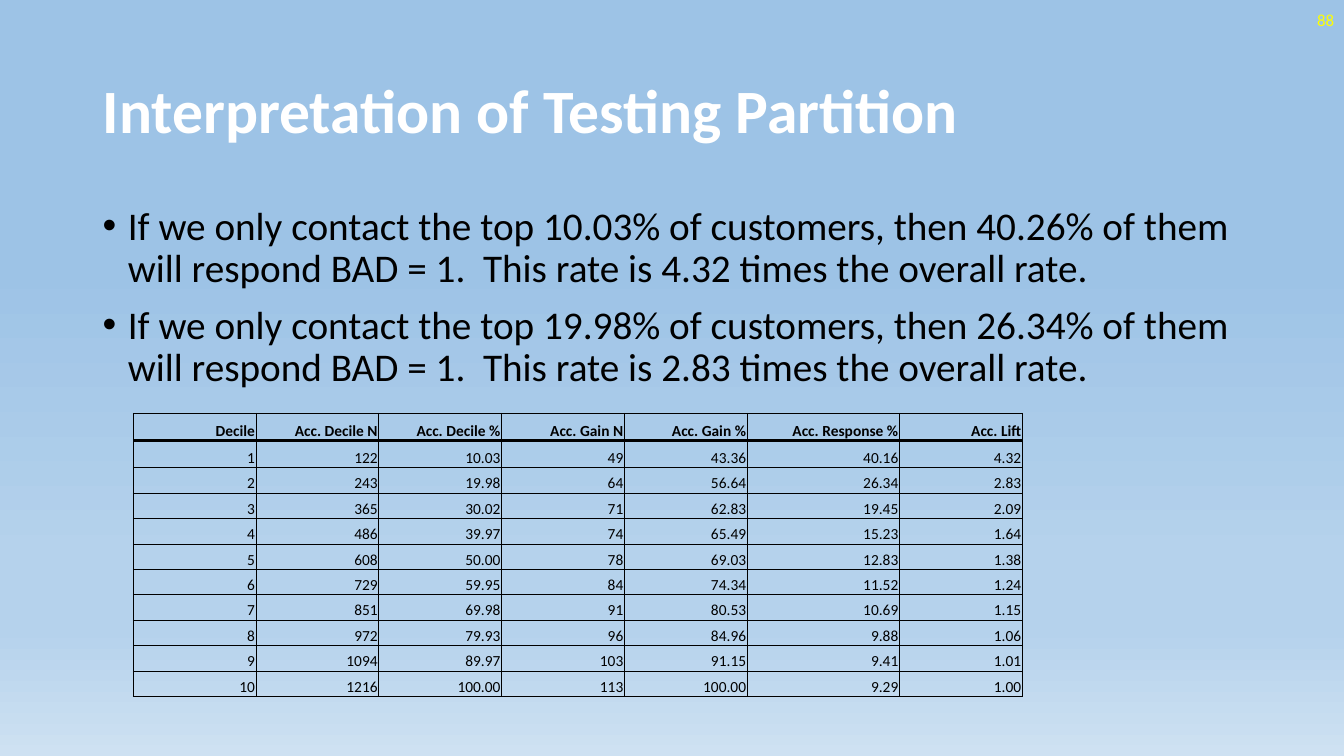
from lxml import etree
from pptx import Presentation
from pptx.dml.color import RGBColor
from pptx.enum.text import MSO_ANCHOR, PP_ALIGN
from pptx.oxml.ns import qn
from pptx.util import Inches, Pt

LEFT, RIGHT = PP_ALIGN.LEFT, PP_ALIGN.RIGHT
TOP, MIDDLE, BOTTOM = MSO_ANCHOR.TOP, MSO_ANCHOR.MIDDLE, MSO_ANCHOR.BOTTOM
FONT = "Calibri"
COLORS = {
    "sky": "9DC3E6",
    "haze": "B5D2EC",
    "horizon": "CEE1F2",
    "title": "FFFFFF",
    "text": "000000",
    "number": "FFFF00",
    "border": "000000",
}
GRADIENT = [(35, "sky"), (74, "haze"), (83, "haze"), (100, "horizon")]
BULLETS = [
    "If we only contact the top 10.03% of customers, then 40.26% of them "
    "will respond BAD = 1.  This rate is 4.32 times the overall rate.",
    "If we only contact the top 19.98% of customers, then 26.34% of them "
    "will respond BAD = 1.  This rate is 2.83 times the overall rate.",
]
DECILES = [
    ["Decile", "Acc. Decile N", "Acc. Decile %", "Acc. Gain N", "Acc. Gain %",
     "Acc. Response %", "Acc. Lift"],
    ["1", "122", "10.03", "49", "43.36", "40.16", "4.32"],
    ["2", "243", "19.98", "64", "56.64", "26.34", "2.83"],
    ["3", "365", "30.02", "71", "62.83", "19.45", "2.09"],
    ["4", "486", "39.97", "74", "65.49", "15.23", "1.64"],
    ["5", "608", "50.00", "78", "69.03", "12.83", "1.38"],
    ["6", "729", "59.95", "84", "74.34", "11.52", "1.24"],
    ["7", "851", "69.98", "91", "80.53", "10.69", "1.15"],
    ["8", "972", "79.93", "96", "84.96", "9.88", "1.06"],
    ["9", "1094", "89.97", "103", "91.15", "9.41", "1.01"],
    ["10", "1216", "100.00", "113", "100.00", "9.29", "1.00"],
]


def write(para, text, size=28, color="text", bold=False, align=LEFT,
          spacing=None, before=0, bullet=None):
    para.alignment = align
    para.space_before = Pt(before)
    if spacing:
        para.line_spacing = spacing
    if bullet:
        props = para._p.get_or_add_pPr()
        props.set("marL", str(Inches(0.25)))
        props.set("indent", str(Inches(-0.25)))
        etree.SubElement(props, qn("a:buFont"), typeface="Arial")
        etree.SubElement(props, qn("a:buChar"), char=bullet)
    span = para.add_run()
    span.text = text
    span.font.name = FONT
    span.font.size = Pt(size)
    span.font.bold = bold
    span.font.color.rgb = RGBColor.from_string(COLORS[color])


def add_text(page, box, texts, anchor=TOP, **style):
    frame = page.shapes.add_textbox(*map(Inches, box)).text_frame
    frame.word_wrap = True
    frame.vertical_anchor = anchor
    for index, text in enumerate(texts):
        para = frame.add_paragraph() if index else frame.paragraphs[0]
        write(para, text, **style)


def paint_background(page):
    fill = page.background.fill
    fill.gradient()
    fill.gradient_angle = 270
    stops = page.element.find(".//" + qn("a:gsLst"))
    for stop in list(stops):
        stops.remove(stop)
    for percent, color in GRADIENT:
        stop = etree.SubElement(stops, qn("a:gs"), pos=str(percent * 1000))
        etree.SubElement(stop, qn("a:srgbClr"), val=COLORS[color])


def draw_border(cell, side, width):
    props = cell._tc.get_or_add_tcPr()
    line = etree.SubElement(props, qn("a:ln" + side), w=str(Pt(width)))
    fill = etree.SubElement(line, qn("a:solidFill"))
    etree.SubElement(fill, qn("a:srgbClr"), val=COLORS["border"])


def add_decile_table(page, box):
    head_height, wide_column, wide_width = 0.27, 5, 1.51
    width, height = box[2:]
    row_count, column_count = len(DECILES), len(DECILES[0])
    table = page.shapes.add_table(row_count, column_count, *map(Inches, box)).table
    table.first_row = table.horz_banding = False
    for index, column in enumerate(table.columns):
        narrow_width = (width - wide_width) / (column_count - 1)
        column.width = Inches(wide_width if index == wide_column else narrow_width)
    for r, values in enumerate(DECILES):
        body_height = (height - 2 * head_height) / (row_count - 2)
        table.rows[r].height = Inches(head_height if r < 2 else body_height)
        for c, value in enumerate(values):
            cell = table.cell(r, c)
            cell.margin_left = cell.margin_right = cell.margin_top = Inches(0.01)
            cell.margin_bottom = 0
            cell.vertical_anchor = BOTTOM
            write(cell.text_frame.paragraphs[0], value, size=11,
                  bold=r == 0, align=RIGHT)
            for side in "LRTB":
                heavy = (r, side) in [(0, "B"), (1, "T")]
                draw_border(cell, side, 2 if heavy else 0.5)
            cell.fill.background()


def build_testing_slide(page, box):
    left, top, width, height = box
    paint_background(page)
    add_text(page, (left + 0.92, top + 0.4, 11.5, 1.45),
             ["Interpretation of Testing Partition"], anchor=MIDDLE,
             size=44, color="title", bold=True, spacing=0.9)
    add_text(page, (left + 0.92, top + 2, 11.5, 4.76), BULLETS,
             spacing=0.9, before=10, bullet="•")
    add_text(page, (left + width - 3, top, 3, 0.4), ["88"], anchor=MIDDLE,
             size=12, color="number", align=RIGHT)
    add_decile_table(page, (left + 1.32, top + 4.1, 8.82, 2.81))


def main():
    deck = Presentation()
    deck.slide_width, deck.slide_height = Inches(13.33), Inches(7.5)
    page = deck.slides.add_slide(deck.slide_layouts[6])
    build_testing_slide(page, (0, 0, 13.33, 7.5))
    deck.save("out.pptx")


if __name__ == "__main__":
    main()
